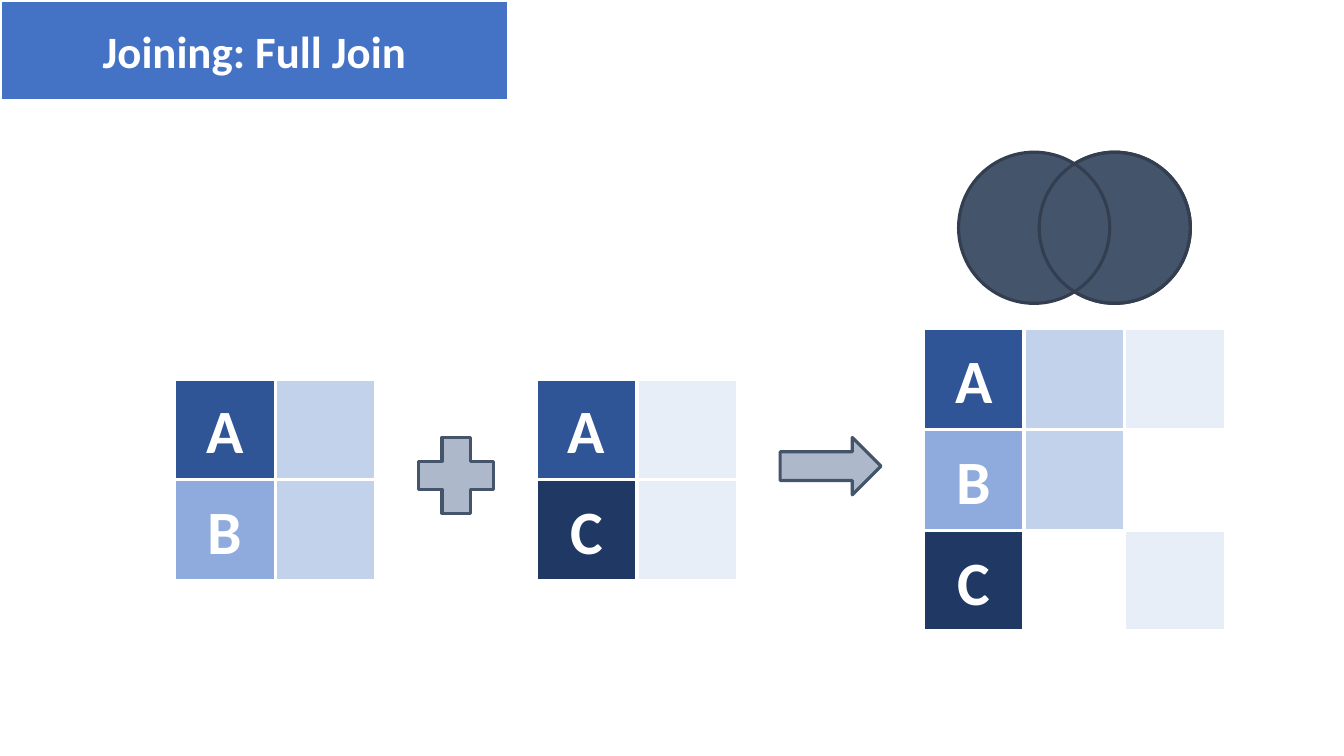
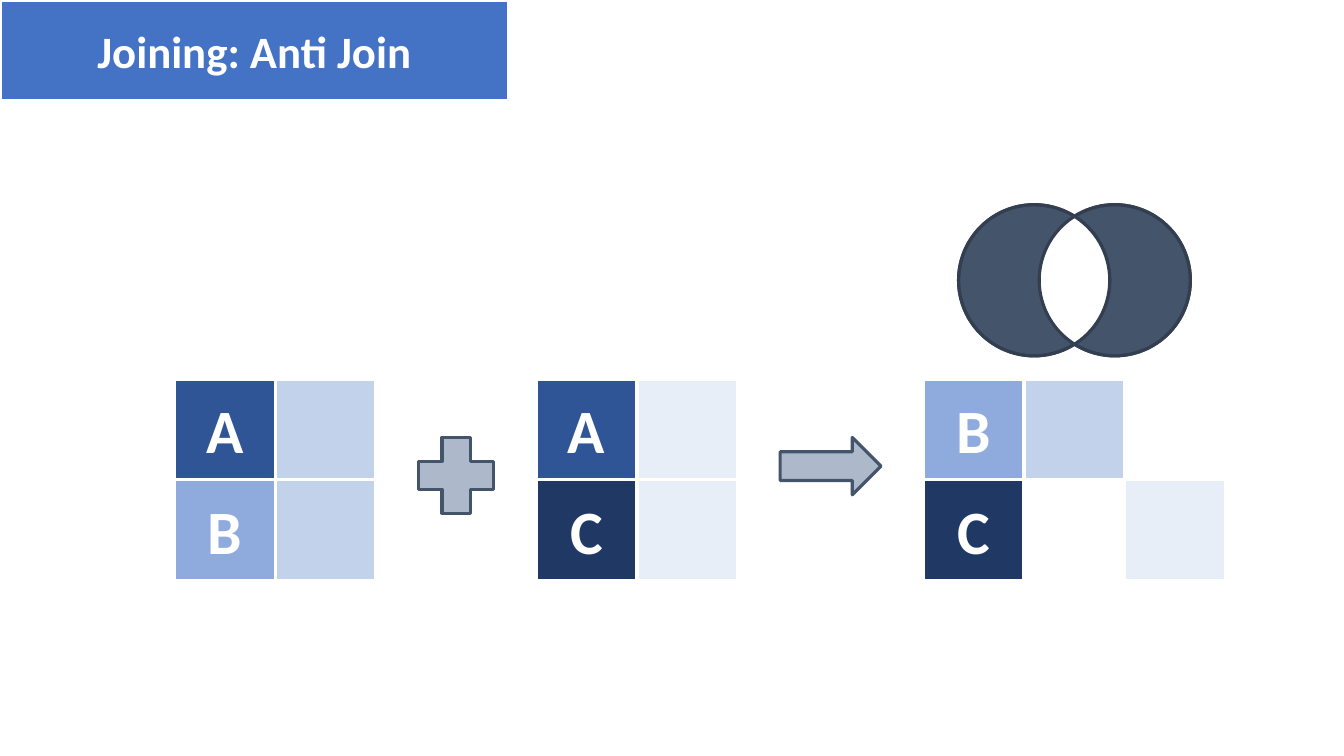
"""Build two slides that explain the full join and the anti join."""
from dataclasses import dataclass
from math import acos, cos, pi, sin

from lxml import etree
from pptx import Presentation
from pptx.dml.color import RGBColor
from pptx.enum.shapes import MSO_SHAPE
from pptx.enum.text import MSO_ANCHOR, MSO_AUTO_SIZE, PP_ALIGN
from pptx.oxml.ns import qn
from pptx.util import Pt

RECTANGLE = MSO_SHAPE.RECTANGLE
OVAL = MSO_SHAPE.OVAL
PLUS = MSO_SHAPE.CROSS
ARROW = MSO_SHAPE.RIGHT_ARROW
CENTER = PP_ALIGN.CENTER
MIDDLE = MSO_ANCHOR.MIDDLE
NO_FIT = MSO_AUTO_SIZE.NONE
TITLE_ONLY = 5


@dataclass(frozen=True)
class Theme:
    """Colours, type sizes and line width of the deck."""
    white: str = "FFFFFF"
    band: str = "4472C4"
    key_a: str = "2F5597"
    key_b: str = "8FAADC"
    key_c: str = "203864"
    left_value: str = "B4C7E7"
    right_value: str = "DAE3F3"
    symbol: str = "ADB9CA"
    slate: str = "44546A"
    slate_edge: str = "333F50"
    font: str = "Calibri"
    title_size: float = 32
    key_size: float = 44
    line_width: float = 2.25


THEME = Theme()
KEY_FILLS = {"A": THEME.key_a, "B": THEME.key_b, "C": THEME.key_c}
VALUE_FILLS = {"l": (THEME.left_value, 80), "r": (THEME.right_value, 60)}

CELL = 72
GRID_TOP = 270.7
LEFT_TABLE, RIGHT_TABLE, RESULT_TABLE = 124.6, 383, 659.5
VENN_LEFT, VENN_SHIFT, RADIUS = 684.7, 57.6, 54

JOINS = (
    {"title": "Joining: Full Join", "rows": ("Alr", "Bl.", "C.r"),
     "top": GRID_TOP - CELL / 2, "venn_top": 108.7, "hollow": False},
    {"title": "Joining: Anti Join", "rows": ("Bl.", "C.r"),
     "top": GRID_TOP, "venn_top": 146.2, "hollow": True},
)


def paint(shape, fill=None, line=None, opacity=100):
    """Set fill, opacity and outline; None means that the part is absent."""
    if fill:
        shape.fill.solid()
        shape.fill.fore_color.rgb = RGBColor.from_string(fill)
        if opacity < 100:
            colour = shape.element.spPr.find(".//" + qn("a:srgbClr"))
            etree.SubElement(colour, qn("a:alpha"), val=str(opacity * 1000))
    else:
        shape.fill.background()
    if line:
        shape.line.color.rgb = RGBColor.from_string(line)
        shape.line.width = Pt(THEME.line_width)
    else:
        shape.line.fill.background()


def write(shape, text, size, color=THEME.white, bold=True):
    """Put one centred line of text in a shape."""
    frame = shape.text_frame
    frame.word_wrap = True
    frame.auto_size = NO_FIT
    frame.vertical_anchor = MIDDLE
    para = frame.paragraphs[0]
    para.alignment = CENTER
    span = para.add_run()
    span.text = text
    span.font.name = THEME.font
    span.font.size = Pt(size)
    span.font.bold = bold
    span.font.color.rgb = RGBColor.from_string(color)


def add_box(shapes, kind, left, top, width, height, **look):
    """Add a painted preset shape without a shadow."""
    box = shapes.add_shape(kind, Pt(left), Pt(top), Pt(width), Pt(height))
    box.shadow.inherit = False
    paint(box, **look)
    return box


def add_title(page, text):
    """Turn the title placeholder into the coloured band at top left."""
    title = page.shapes.title
    title.left, title.top = Pt(0), Pt(0)
    title.width, title.height = Pt(363.6), Pt(72)
    paint(title, fill=THEME.band, line=THEME.white)
    write(title, text, THEME.title_size)


def add_grid(page, left, top, rows):
    """Draw rows of key cells (A, B, C), value cells (l, r) and gaps (.)."""
    for row, codes in enumerate(rows):
        for column, code in enumerate(codes):
            if code == ".":
                continue
            fill, opacity = VALUE_FILLS.get(code) or (KEY_FILLS[code], 100)
            cell = add_box(page.shapes, RECTANGLE, left + column * CELL,
                           top + row * CELL, CELL, CELL, fill=fill,
                           line=THEME.white, opacity=opacity)
            if code in KEY_FILLS:
                write(cell, code, THEME.key_size)


def add_lens(shapes, top):
    """Cover the overlap of the two Venn circles in white."""
    half = acos(VENN_SHIFT / 2 / RADIUS)
    steps = 32
    points = []
    for shift, start in ((0, -half), (VENN_SHIFT, pi - half)):
        for step in range(steps + 1):
            angle = start + 2 * half * step / steps
            points.append((Pt(VENN_LEFT + shift + RADIUS * (1 + cos(angle))),
                           Pt(top + RADIUS * (1 + sin(angle)))))
    builder = shapes.build_freeform(*points[0])
    builder.add_line_segments(points[1:], close=True)
    lens = builder.convert_to_shape()
    lens.shadow.inherit = False
    paint(lens, fill=THEME.white)


def add_venn(page, top, hollow):
    """Draw two overlapping circles, with the overlap emptied if hollow."""
    shapes = page.shapes.add_group_shape().shapes
    left, right = VENN_LEFT, VENN_LEFT + VENN_SHIFT

    def add_circle(edge, fill=None):
        """Add one circle of the diagram."""
        add_box(shapes, OVAL, edge, top, 2 * RADIUS, 2 * RADIUS,
                fill=fill, line=THEME.slate_edge)

    for edge in (right, left):
        add_circle(edge, THEME.slate)
    if hollow:
        add_lens(shapes, top)
        add_circle(left)
    add_circle(right)


def add_symbols(page):
    """Place the plus and the arrow between the tables."""
    look = {"fill": THEME.symbol, "line": THEME.slate}
    add_box(page.shapes, ARROW, 557.3, 312.5, 72, 41, **look)
    plus = add_box(page.shapes, PLUS, 298.8, 312.5, 54, 54, **look)
    plus.adjustments[0] = 0.314


def add_join(deck, title, rows, top, venn_top, hollow):
    """Add a slide that shows two tables, their join and its Venn diagram."""
    page = deck.slides.add_slide(deck.slide_layouts[TITLE_ONLY])
    add_title(page, title)
    add_symbols(page)
    add_grid(page, LEFT_TABLE, GRID_TOP, ("Al", "Bl"))
    add_grid(page, RIGHT_TABLE, GRID_TOP, ("Ar", "Cr"))
    add_grid(page, RESULT_TABLE, top, rows)
    add_venn(page, venn_top, hollow)


def main():
    """Build and save the deck."""
    deck = Presentation()
    deck.slide_width, deck.slide_height = Pt(960), Pt(540)
    for join in JOINS:
        add_join(deck, **join)
    deck.save("out.pptx")


main()
